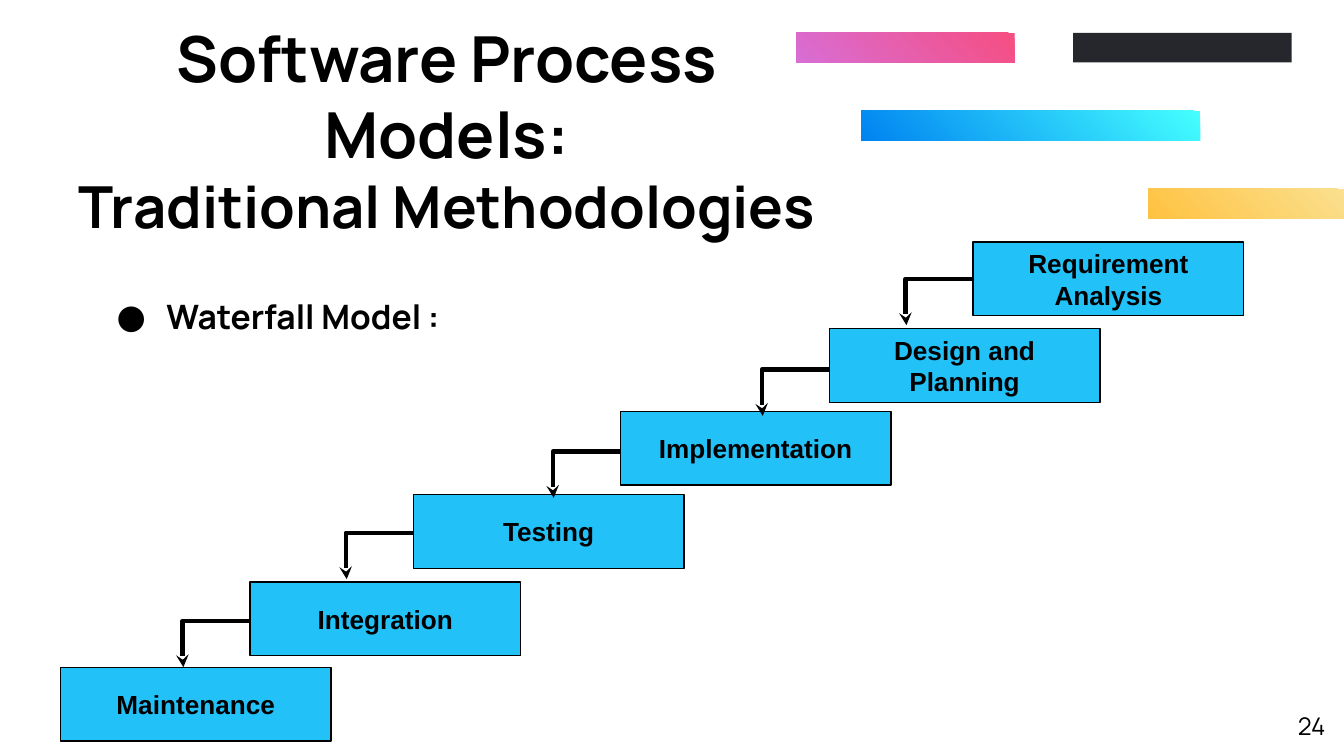
from lxml.etree import SubElement
from pptx import Presentation
from pptx.dml.color import RGBColor
from pptx.enum.shapes import MSO_CONNECTOR, MSO_SHAPE
from pptx.enum.text import MSO_ANCHOR, PP_ALIGN
from pptx.oxml.ns import qn
from pptx.util import Inches, Pt

COLUMNS, ROWS = 100, 56.25  # square grid cells of 0.1 inch
CELL = 0.1
INK, STAGE_BLUE = "000000", "22C1F8"
HEADING_FONT, STAGE_FONT = "Manrope", "Arial"
STAGE_WIDTH, STAGE_HEIGHT = 20.15, 5.5
ARROW_RUN, ARROW_DROP = 4.95, 3.45
BAR_HEIGHT = 2.2

# column, row, width, colours from right to left
BARS = [
    (64.1, 8.25, 25.2, ("45FFFF", "0083F1")),
    (79.85, 2.45, 16.25, ("25272D",)),
    (59.25, 2.45, 16.25, ("F64E81", "D86ED5")),
    (85.45, 14.05, 14.55, ("FAE08F", "FFC241")),
]
# name, column, row, row where the arrow to the next stage leaves
STAGES = [
    ("Requirement Analysis", 72.4, 18.0, 20.75),
    ("Design and Planning", 61.7, 24.45, 27.5),
    ("Implementation", 46.15, 30.6, 33.6),
    ("Testing", 30.75, 36.8, 39.65),
    ("Integration", 18.6, 43.3, 46.2),
    ("Maintenance", 4.5, 49.65, None),
]


def cells(*counts):
    return [Inches(count * CELL) for count in counts]


def colour(hex_code):
    return RGBColor.from_string(hex_code)


def add_run(paragraph, words, size, font=HEADING_FONT, bold=True):
    run = paragraph.add_run()
    run.text = words
    run.font.size = Pt(size)
    run.font.name = font
    run.font.bold = bold
    run.font.color.rgb = colour(INK)


def prepare_frame(frame, anchor, align, side_margin=0.1):
    """Set wrapping, margins and anchor; return the first paragraph."""
    frame.word_wrap = True
    frame.vertical_anchor = anchor
    frame.margin_left = frame.margin_right = Inches(side_margin)
    frame.margin_top = frame.margin_bottom = Inches(0.1)
    paragraph = frame.paragraphs[0]
    paragraph.alignment = align
    return paragraph


def add_text(slide, area, anchor=MSO_ANCHOR.TOP, align=PP_ALIGN.LEFT, side_margin=0.1):
    box = slide.shapes.add_textbox(*cells(*area))
    return prepare_frame(box.text_frame, anchor, align, side_margin)


def add_rectangle(slide, *area):
    rectangle = slide.shapes.add_shape(MSO_SHAPE.RECTANGLE, *cells(*area))
    rectangle.shadow.inherit = False
    return rectangle


def add_bar(slide, column, row, width, colours):
    bar = add_rectangle(slide, column, row, width, BAR_HEIGHT)
    bar.line.fill.background()
    if len(colours) == 1:
        bar.fill.solid()
        bar.fill.fore_color.rgb = colour(colours[0])
        return
    bar.fill.gradient()
    bar.fill.gradient_angle = 225
    for position, (stop, shade) in enumerate(zip(bar.fill.gradient_stops, colours)):
        stop.position = position
        stop.color.rgb = colour(shade)


def add_stage(slide, name, column, row):
    stage = add_rectangle(slide, column, row, STAGE_WIDTH, STAGE_HEIGHT)
    stage.fill.solid()
    stage.fill.fore_color.rgb = colour(STAGE_BLUE)
    stage.line.color.rgb = colour(INK)
    stage.line.width = Pt(0.75)
    label = prepare_frame(stage.text_frame, MSO_ANCHOR.MIDDLE, PP_ALIGN.CENTER)
    add_run(label, name, 14, STAGE_FONT)


def add_step_arrow(slide, column, row):
    """Lead left out of a stage, then down to the next one."""
    arrow = slide.shapes.add_connector(
        MSO_CONNECTOR.ELBOW,
        *cells(column, row, column - ARROW_RUN, row + ARROW_DROP))
    arrow.line.color.rgb = colour(INK)
    arrow.line.width = Pt(2.25)
    properties = arrow.line._get_or_add_ln().getparent()
    SubElement(properties.find(qn("a:ln")), qn("a:tailEnd"), type="stealth")
    SubElement(properties, qn("a:effectLst"))
    guides = properties.find(qn("a:prstGeom")).get_or_add_avLst()
    SubElement(guides, qn("a:gd"), name="adj1", fmla="val 101500")


def add_bullet(paragraph, indent, hanging):
    properties = paragraph._p.get_or_add_pPr()
    properties.set("marL", str(Inches(indent)))
    properties.set("indent", str(-Inches(hanging)))
    bullet_colour = SubElement(properties, qn("a:buClr"))
    SubElement(bullet_colour, qn("a:srgbClr"), val=INK)
    SubElement(properties, qn("a:buFont"), typeface=HEADING_FONT)
    SubElement(properties, qn("a:buChar"), char="●")


def add_headings(slide):
    title = add_text(slide, (2.6, 2.5, 61.3, 14.3), MSO_ANCHOR.MIDDLE,
                     PP_ALIGN.CENTER, side_margin=0.15)
    add_run(title, "Software Process Models:", 34)
    title.add_line_break()
    add_run(title, "Traditional Methodologies", 31)

    model = add_text(slide, (6.4, 19.5, 40.6, 5.5))
    model.line_spacing = 1.5
    add_bullet(model, 0.5, 0.37)
    add_run(model, "Waterfall Model :", 18)

    page_number = add_text(slide, (93.6, 51.9, 6, 4.3), align=PP_ALIGN.RIGHT)
    add_run(page_number, "24", 13, bold=False)


def main():
    deck = Presentation()
    deck.slide_width, deck.slide_height = cells(COLUMNS, ROWS)
    slide = deck.slides.add_slide(deck.slide_layouts[6])
    for bar in BARS:
        add_bar(slide, *bar)
    add_headings(slide)
    for name, column, row, _ in STAGES:
        add_stage(slide, name, column, row)
    for _, column, _, exit_row in STAGES[:-1]:
        add_step_arrow(slide, column, exit_row)
    deck.save("out.pptx")


if __name__ == "__main__":
    main()
